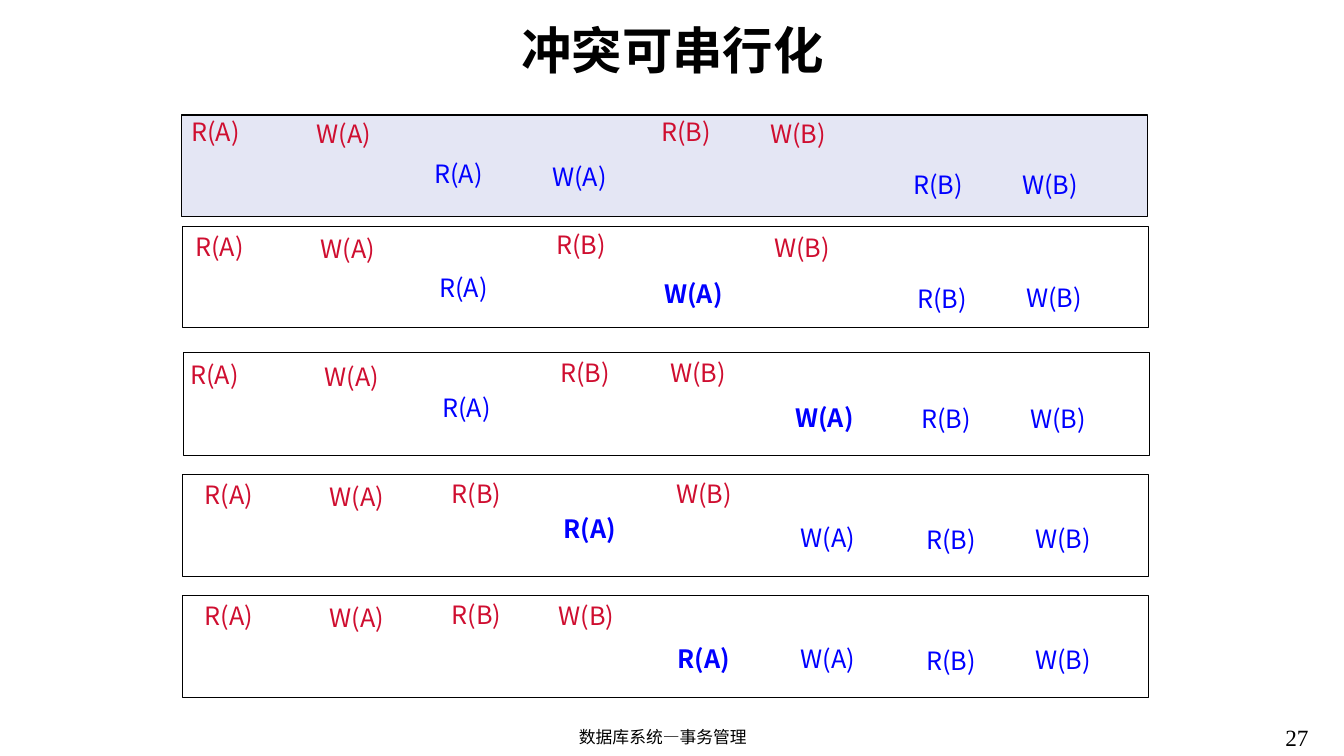
from dataclasses import dataclass

from lxml import etree
from pptx import Presentation
from pptx.dml.color import RGBColor
from pptx.enum.shapes import MSO_SHAPE
from pptx.enum.text import MSO_ANCHOR, MSO_AUTO_SIZE, PP_ALIGN
from pptx.oxml.ns import qn
from pptx.util import Inches, Pt

RECT = MSO_SHAPE.RECTANGLE
MIDDLE = MSO_ANCHOR.MIDDLE
GROW = MSO_AUTO_SIZE.SHAPE_TO_FIT_TEXT
FIXED = MSO_AUTO_SIZE.NONE
LEFT, CENTER = PP_ALIGN.LEFT, PP_ALIGN.CENTER

BLACK = RGBColor(0x00, 0x00, 0x00)
RED = RGBColor(0xCF, 0x0E, 0x30)
BLUE = RGBColor(0x00, 0x00, 0xFF)
LILAC = RGBColor(0x78, 0x86, 0xCA)

SANS = "Noto Sans CJK SC"
SERIF = "Times New Roman"
WIDTHS = {"R(A)": 0.71, "W(A)": 0.81, "R(B)": 0.69, "W(B)": 0.79}


@dataclass
class Step:
    """One read or write, placed on the slide in inches."""
    name: str
    left: float
    top: float
    bold: bool = False


@dataclass
class Plan:
    """A schedule frame with the steps of two transactions."""
    left: float
    top: float
    high: float
    first: list[Step]
    second: list[Step]
    tinted: bool = False


PLANS = [
    Plan(1.8, 1.14, 1.01,
         [Step("R(A)", 1.8, 1.1), Step("W(A)", 3.04, 1.12),
          Step("R(B)", 6.46, 1.1), Step("W(B)", 7.54, 1.12)],
         [Step("R(A)", 4.21, 1.52), Step("W(A)", 5.38, 1.55),
          Step("R(B)", 8.96, 1.63), Step("W(B)", 10.04, 1.63)], tinted=True),
    Plan(1.81, 2.25, 1.0,
         [Step("R(A)", 1.84, 2.25), Step("W(A)", 3.08, 2.27),
          Step("R(B)", 5.42, 2.23), Step("W(B)", 7.58, 2.26)],
         [Step("R(A)", 4.26, 2.65), Step("W(A)", 6.49, 2.71, bold=True),
          Step("R(B)", 9.0, 2.76), Step("W(B)", 10.08, 2.75)]),
    Plan(1.82, 3.5, 1.02,
         [Step("R(A)", 1.79, 3.52), Step("W(A)", 3.12, 3.54),
          Step("R(B)", 5.46, 3.5), Step("W(B)", 6.55, 3.5)],
         [Step("R(A)", 4.29, 3.84), Step("W(A)", 7.79, 3.94, bold=True),
          Step("R(B)", 9.04, 3.95), Step("W(B)", 10.12, 3.95)]),
    Plan(1.81, 4.71, 1.01,
         [Step("R(A)", 1.93, 4.71), Step("W(A)", 3.17, 4.73),
          Step("R(B)", 4.38, 4.7), Step("W(B)", 6.61, 4.7)],
         [Step("R(A)", 5.49, 5.04, bold=True), Step("W(A)", 7.84, 5.13),
          Step("R(B)", 9.09, 5.15), Step("W(B)", 10.17, 5.14)]),
    Plan(1.81, 5.91, 1.01,
         [Step("R(A)", 1.93, 5.91), Step("W(A)", 3.17, 5.93),
          Step("R(B)", 4.38, 5.9), Step("W(B)", 5.44, 5.91)],
         [Step("R(A)", 6.62, 6.33, bold=True), Step("W(A)", 7.84, 6.33),
          Step("R(B)", 9.09, 6.35), Step("W(B)", 10.17, 6.34)]),
]


def write(shape, text: str, size: float, color: RGBColor, bold: bool = False,
          face: str = SANS, align: PP_ALIGN = LEFT) -> None:
    """Fill a shape with one styled paragraph."""
    frame = shape.text_frame
    frame.text = text
    frame.word_wrap = True
    par = frame.paragraphs[0]
    par.alignment = align
    font = par.font
    font.name, font.size, font.bold = face, Pt(size), bold
    font.color.rgb = color
    style = par._p.pPr.find(qn("a:defRPr"))
    etree.SubElement(style, qn("a:ea"), typeface=face)


def add_text(shapes, left: float, top: float, wide: float, high: float):
    """Add a text box measured in inches."""
    return shapes.add_textbox(Inches(left), Inches(top), Inches(wide), Inches(high))


def add_step(shapes, step: Step, color: RGBColor) -> None:
    """Add the label of one step."""
    wide = WIDTHS[step.name] + (0.05 if step.bold else 0)
    box = add_text(shapes, step.left, step.top, wide, 0.4)
    write(box, step.name, 18, color, step.bold)
    box.text_frame.word_wrap = False
    box.text_frame.auto_size = GROW


def add_plan(slide, plan: Plan) -> None:
    """Draw a schedule as a group of a frame and its steps."""
    shapes = slide.shapes.add_group_shape().shapes
    frame = shapes.add_shape(RECT, Inches(plan.left), Inches(plan.top),
                             Inches(9.58), Inches(plan.high))
    frame.shadow.inherit = False
    frame.line.color.rgb = BLACK
    frame.line.width = Pt(1)
    if plan.tinted:
        frame.fill.solid()
        frame.fill.fore_color.rgb = LILAC
        tint = frame._element.spPr.find(qn("a:solidFill"))[0]
        etree.SubElement(tint, qn("a:alpha"), val="20000")
    else:
        frame.fill.background()
    for steps, color in ((plan.first, RED), (plan.second, BLUE)):
        for step in steps:
            add_step(shapes, step, color)


def main() -> None:
    """Build and save the slide."""
    deck = Presentation()
    deck.slide_width, deck.slide_height = Inches(13.33), Inches(7.5)
    slide = deck.slides.add_slide(deck.slide_layouts[5])
    title = slide.shapes.title
    title.left, title.top = Inches(1.15), Inches(0.12)
    title.width, title.height = Inches(11.04), Inches(0.74)
    write(title, "冲突可串行化", 36, BLACK, bold=True, align=CENTER)
    title.text_frame.vertical_anchor = MIDDLE
    title.text_frame.auto_size = FIXED
    for plan in PLANS:
        add_plan(slide, plan)
    foot = add_text(slide.shapes, 4.47, 7.16, 4.21, 0.34)
    write(foot, "数据库系统—事务管理", 12, BLACK, align=CENTER)
    page = add_text(slide.shapes, 12.65, 7.13, 0.84, 0.52)
    write(page, "27", 16.6, BLACK, face=SERIF)
    deck.save("out.pptx")


if __name__ == "__main__":
    main()
